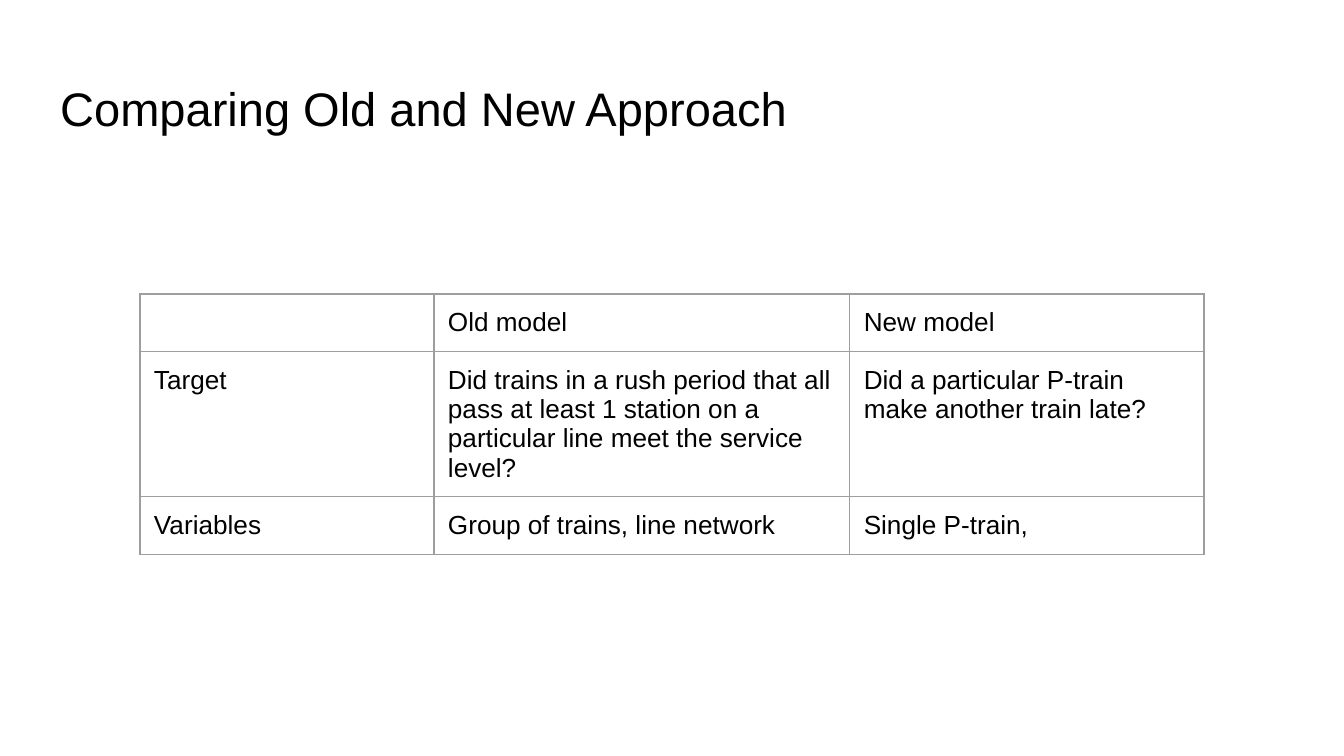
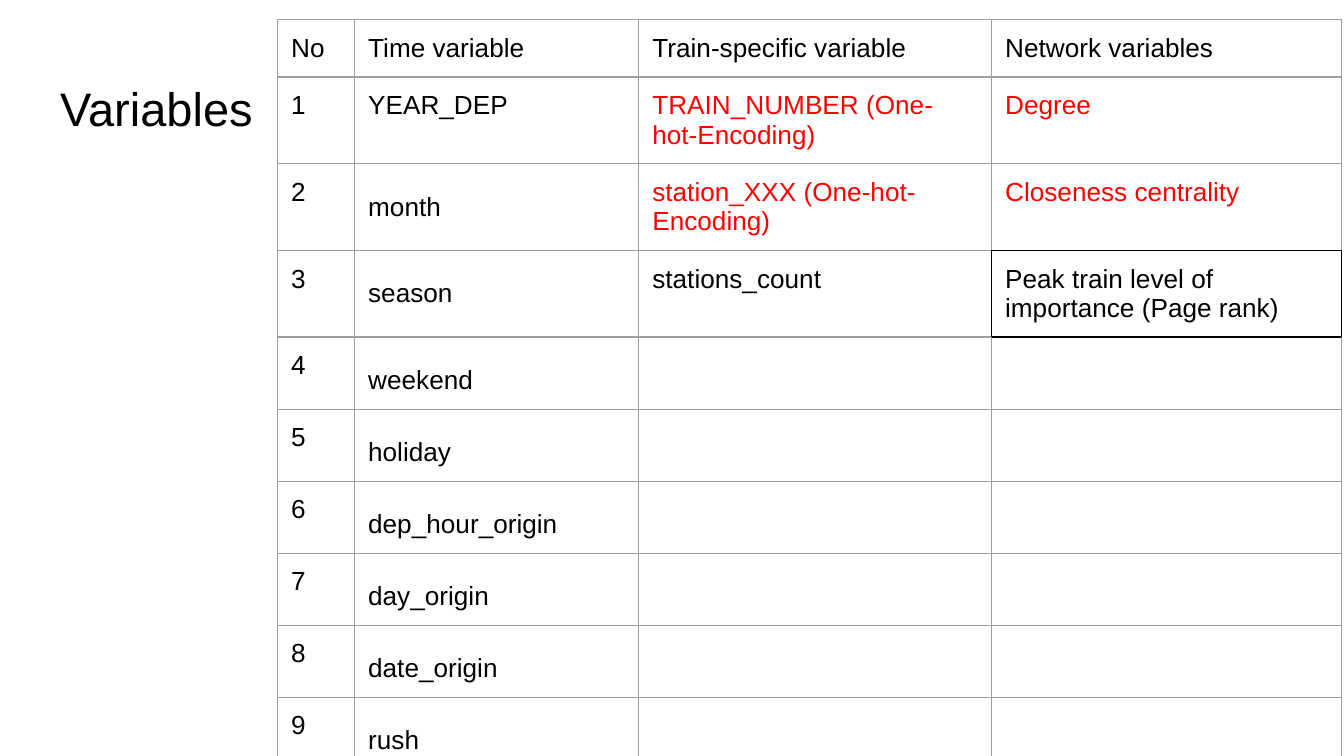
import lxml.etree
import pptx
import pptx.dml.color
import pptx.enum.text
import pptx.oxml.ns
import pptx.util

PX = 9525  # EMU per px, 96 px to the inch
COLORS = {"text": "000000", "new": "FF0000", "grid": "9E9E9E", "frame": "000000"}
SIDES = {"lnL": (0, -1), "lnR": (0, 1), "lnT": (-1, 0), "lnB": (1, 0)}


class Deck:
    """Holds the shared style and the current slide."""

    font_name = "Arial"
    title_size = 25.2
    cell_size = 14
    inset = 10
    row_height = 40
    border_width = 0.75

    def __init__(self, width, height):
        self.presentation = pptx.Presentation()
        self.presentation.slide_width = width * PX
        self.presentation.slide_height = height * PX
        self.slide = None

    def add_slide(self, title):
        layout = self.presentation.slide_layouts[5]
        self.slide = self.presentation.slides.add_slide(layout)
        shape = self.slide.shapes.title
        shape.left, shape.top, shape.width, shape.height = (
            length * PX for length in (33, 47, 895, 60))
        frame = shape.text_frame
        frame.text = title
        frame.word_wrap = True
        frame.auto_size = pptx.enum.text.MSO_AUTO_SIZE.NONE
        frame.vertical_anchor = pptx.enum.text.MSO_ANCHOR.TOP
        self.set_margins(frame)
        paragraph = frame.paragraphs[0]
        paragraph.alignment = pptx.enum.text.PP_ALIGN.LEFT
        self.style(paragraph, self.title_size)

    def set_margins(self, target):
        target.margin_left = target.margin_right = self.inset * PX
        target.margin_top = target.margin_bottom = self.inset * PX

    def style(self, paragraph, size, color="text"):
        paragraph.font.name = self.font_name
        paragraph.font.size = pptx.util.Pt(size)
        paragraph.font.color.rgb = pptx.dml.color.RGBColor.from_string(COLORS[color])

    def add_border(self, cell, side, color):
        properties = cell._tc.get_or_add_tcPr()
        line = lxml.etree.SubElement(properties, pptx.oxml.ns.qn(f"a:{side}"))
        line.set("w", str(pptx.util.Pt(self.border_width)))
        fill = lxml.etree.SubElement(line, pptx.oxml.ns.qn("a:solidFill"))
        lxml.etree.SubElement(fill, pptx.oxml.ns.qn("a:srgbClr"), val=COLORS[color])

    def add_table(self, left, top, widths, rows, new=(), spaced=(), framed=None):
        """new: red cells; spaced: cells with 1.5 line spacing; framed: black-edged cell."""
        table = self.slide.shapes.add_table(
            len(rows), len(widths), left * PX, top * PX,
            sum(widths) * PX, len(rows) * self.row_height * PX).table
        table.first_row = table.horz_banding = False
        for column, width in zip(table.columns, widths):
            column.width = width * PX
        for row_index, texts in enumerate(rows):
            table.rows[row_index].height = self.row_height * PX
            for column_index, text in enumerate(texts):
                place = (row_index, column_index)
                cell = table.cell(*place)
                cell.text = text
                self.set_margins(cell)
                paragraph = cell.text_frame.paragraphs[0]
                if place in spaced:
                    paragraph.line_spacing = 1.5
                self.style(paragraph, self.cell_size, "new" if place in new else "text")
                for side, (down, right) in SIDES.items():
                    neighbour = (row_index + down, column_index + right)
                    edge = "frame" if framed in (place, neighbour) else "grid"
                    self.add_border(cell, side, edge)
                cell.fill.background()


def main():
    deck = Deck(960, 540)

    # Comparison of the two models
    deck.add_slide("Comparing Old and New Approach")
    deck.add_table(100, 210, (210, 297, 253), [
        ("", "Old model", "New model"),
        ("Target",
         "Did trains in a rush period that all pass at least 1 station on a "
         "particular line meet the service level?",
         "Did a particular P-train make another train late?"),
        ("Variables", "Group of trains, line network", "Single P-train,"),
    ])

    # Numbered list of model variables
    deck.add_slide("Variables")
    time = ("YEAR_DEP", "month", "season", "weekend", "holiday",
            "dep_hour_origin", "day_origin", "date_origin", "rush")
    train = ("TRAIN_NUMBER (One-hot-Encoding)", "station_XXX (One-hot-Encoding)",
             "stations_count")
    network = ("Degree", "Closeness centrality",
               "Peak train level of importance (Page rank)")
    rows = [("No", "Time variable", "Train-specific variable", "Network variables")]
    for index, name in enumerate(time):
        specific = (train[index], network[index]) if index < len(train) else ("", "")
        rows.append((str(index + 1), name, *specific))
    deck.add_table(
        198, 14, (55, 203, 252, 250), rows,
        new={(row, column) for row in (1, 2) for column in (2, 3)},
        spaced={(row, 1) for row in range(2, len(rows))},
        framed=(3, 3))

    deck.presentation.save("out.pptx")


if __name__ == "__main__":
    main()
